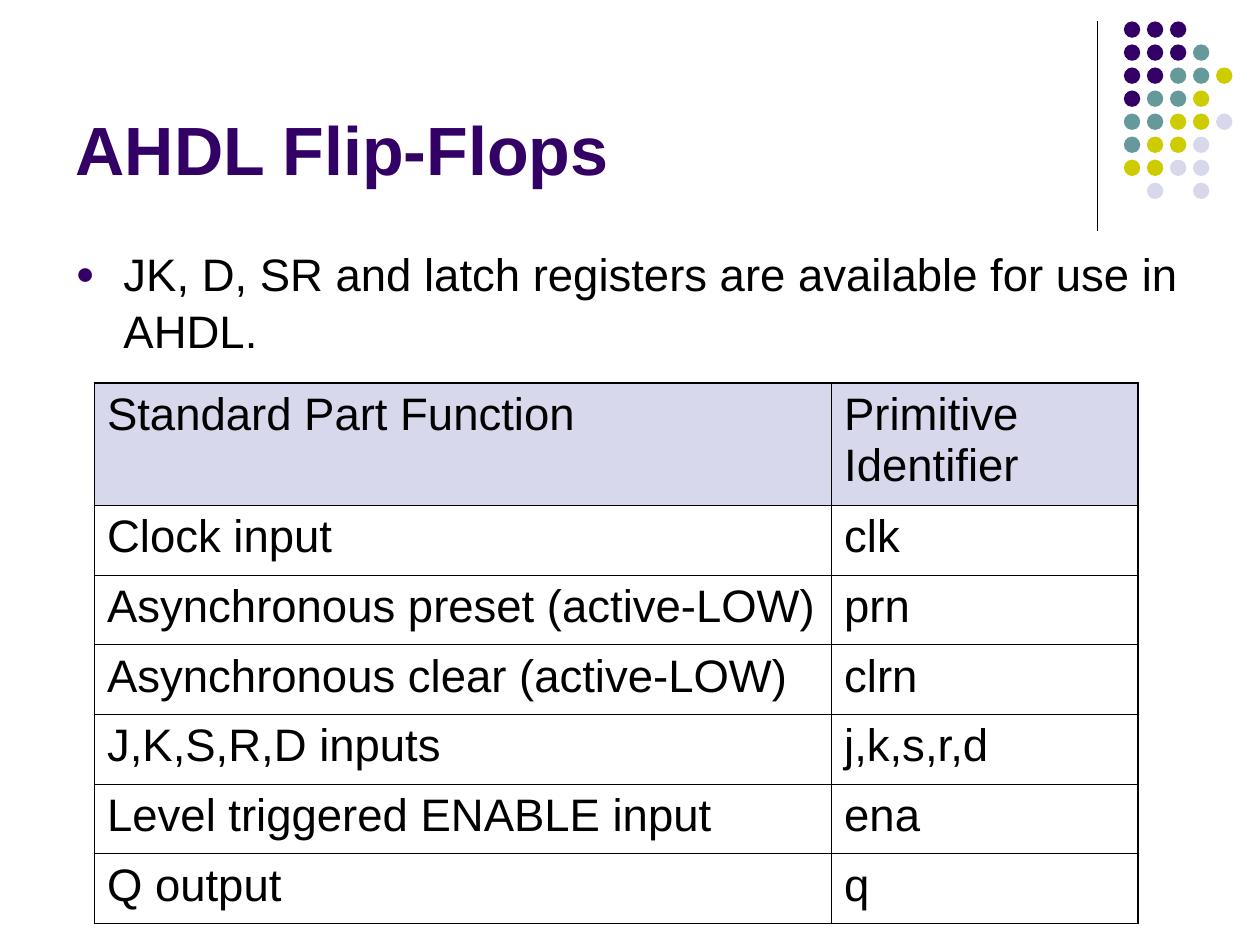
import pptx
import pptx.dml.color
import pptx.enum.shapes
import pptx.enum.text
import pptx.oxml.ns
import pptx.util
from dataclasses import dataclass
from lxml import etree

Inches = pptx.util.Inches
Pt = pptx.util.Pt
qn = pptx.oxml.ns.qn


@dataclass(frozen=True)
class Theme:
    font: str = "Arial"
    title: float = 39
    body: float = 26
    purple: str = "330066"
    teal: str = "669999"
    lime: str = "CCCC00"
    pale: str = "D8D8EC"
    black: str = "000000"
    white: str = "FFFFFF"
    thin: float = 0.45
    thick: float = 1.08


THEME = Theme()
DOTS = ["PPP", "PPPT", "PPTTL", "PTTL", "TTLLW", "TLLW", "LLWW", " W W"]
ROWS = [
    ("Standard Part Function", "Primitive Identifier"),
    ("Clock input", "clk"),
    ("Asynchronous preset (active-LOW)", "prn"),
    ("Asynchronous clear (active-LOW)", "clrn"),
    ("J,K,S,R,D inputs", "j,k,s,r,d"),
    ("Level triggered ENABLE input", "ena"),
    ("Q output", "q"),
]


def rgb(code):
    return pptx.dml.color.RGBColor.from_string(code)


def style(para, size, color, bold=False):
    para.alignment = pptx.enum.text.PP_ALIGN.LEFT
    para.space_before = Pt(0)
    for run in para.runs:
        font = run.font
        font.name, font.size, font.bold = THEME.font, Pt(size), bold
        font.color.rgb = rgb(color)


def place(shape, left, top, width, height):
    shape.left, shape.top = Inches(left), Inches(top)
    shape.width, shape.height = Inches(width), Inches(height)


def add_rule(slide):
    line = slide.shapes.add_connector(
        pptx.enum.shapes.MSO_CONNECTOR.STRAIGHT,
        Inches(8.71), Inches(0.17), Inches(8.71), Inches(1.83))
    line.line.color.rgb = rgb(THEME.black)
    line.line.width = Pt(0.75)
    etree.SubElement(line._element.spPr, qn("a:effectLst"))


def add_dots(slide):
    colors = {"P": THEME.purple, "T": THEME.teal, "L": THEME.lime, "W": THEME.pale}
    step = 1.28 / (len(DOTS) - 1)
    group = slide.shapes.add_group_shape()
    for row, marks in enumerate(DOTS):
        for col, mark in enumerate(marks):
            if mark == " ":
                continue
            dot = group.shapes.add_shape(
                pptx.enum.shapes.MSO_SHAPE.OVAL,
                Inches(8.92 + col * step), Inches(0.17 + row * step),
                Inches(0.13), Inches(0.13))
            dot.shadow.inherit = False
            dot.fill.solid()
            dot.fill.fore_color.rgb = rgb(colors[mark])
            dot.line.fill.background()


def set_title(slide, text):
    title = slide.shapes.title
    place(title, 0.5, 0.13, 8.25, 1.42)
    frame = title.text_frame
    frame.text = text
    frame.auto_size = pptx.enum.text.MSO_AUTO_SIZE.NONE
    frame.vertical_anchor = pptx.enum.text.MSO_ANCHOR.BOTTOM
    style(frame.paragraphs[0], THEME.title, THEME.purple, True)


def add_bullet(para):
    props = para._p.get_or_add_pPr()
    props.set("marL", str(Inches(0.38)))
    props.set("indent", str(Inches(-0.38)))
    color = etree.SubElement(props, qn("a:buClr"))
    etree.SubElement(color, qn("a:srgbClr"), val=THEME.purple)
    etree.SubElement(props, qn("a:buSzPct"), val="70000")
    etree.SubElement(props, qn("a:buFont"), typeface=THEME.font)
    etree.SubElement(props, qn("a:buChar"), char="●")


def set_body(slide, text):
    body = slide.placeholders[1]
    place(body, 0.5, 1.88, 9.15, 4.82)
    frame = body.text_frame
    frame.text = text
    frame.auto_size = pptx.enum.text.MSO_AUTO_SIZE.NONE
    para = frame.paragraphs[0]
    add_bullet(para)
    para.line_spacing = 1.05
    style(para, THEME.body, THEME.black)


def add_edge(props, side, width):
    edge = etree.Element(qn("a:ln" + side), w=str(Pt(width)))
    fill = etree.SubElement(edge, qn("a:solidFill"))
    etree.SubElement(fill, qn("a:srgbClr"), val=THEME.black)
    return edge


def set_edges(cell, outer):
    props = cell._tc.get_or_add_tcPr()
    for spot, (side, rim) in enumerate(outer.items()):
        width = THEME.thick if rim else THEME.thin
        props.insert(spot, add_edge(props, side, width))


def add_grid(slide):
    count, wide = len(ROWS), (5.85, 2.43)
    head, total = 0.97, 4.29
    table = slide.shapes.add_table(
        count, len(wide), Inches(0.75), Inches(3.04),
        Inches(sum(wide)), Inches(total)).table
    table.horz_banding = False
    for col, width in enumerate(wide):
        table.columns[col].width = Inches(width)
    for row, texts in enumerate(ROWS):
        table.rows[row].height = Inches((total - head) / (count - 1) if row else head)
        for col, text in enumerate(texts):
            cell = table.cell(row, col)
            cell.text_frame.text = text
            style(cell.text_frame.paragraphs[0], THEME.body, THEME.black)
            cell.fill.solid()
            cell.fill.fore_color.rgb = rgb(THEME.white if row else THEME.pale)
            set_edges(cell, {"L": col == 0, "R": col == len(wide) - 1,
                             "T": row == 0, "B": row == count - 1})


def main():
    deck = pptx.Presentation()
    deck.slide_width, deck.slide_height = Inches(10), Inches(7.5)
    slide = deck.slides.add_slide(deck.slide_layouts[1])
    add_rule(slide)
    add_dots(slide)
    set_title(slide, "AHDL Flip-Flops")
    set_body(slide, "JK, D, SR and latch registers are available for use in AHDL.")
    add_grid(slide)
    deck.save("out.pptx")


if __name__ == "__main__":
    main()
